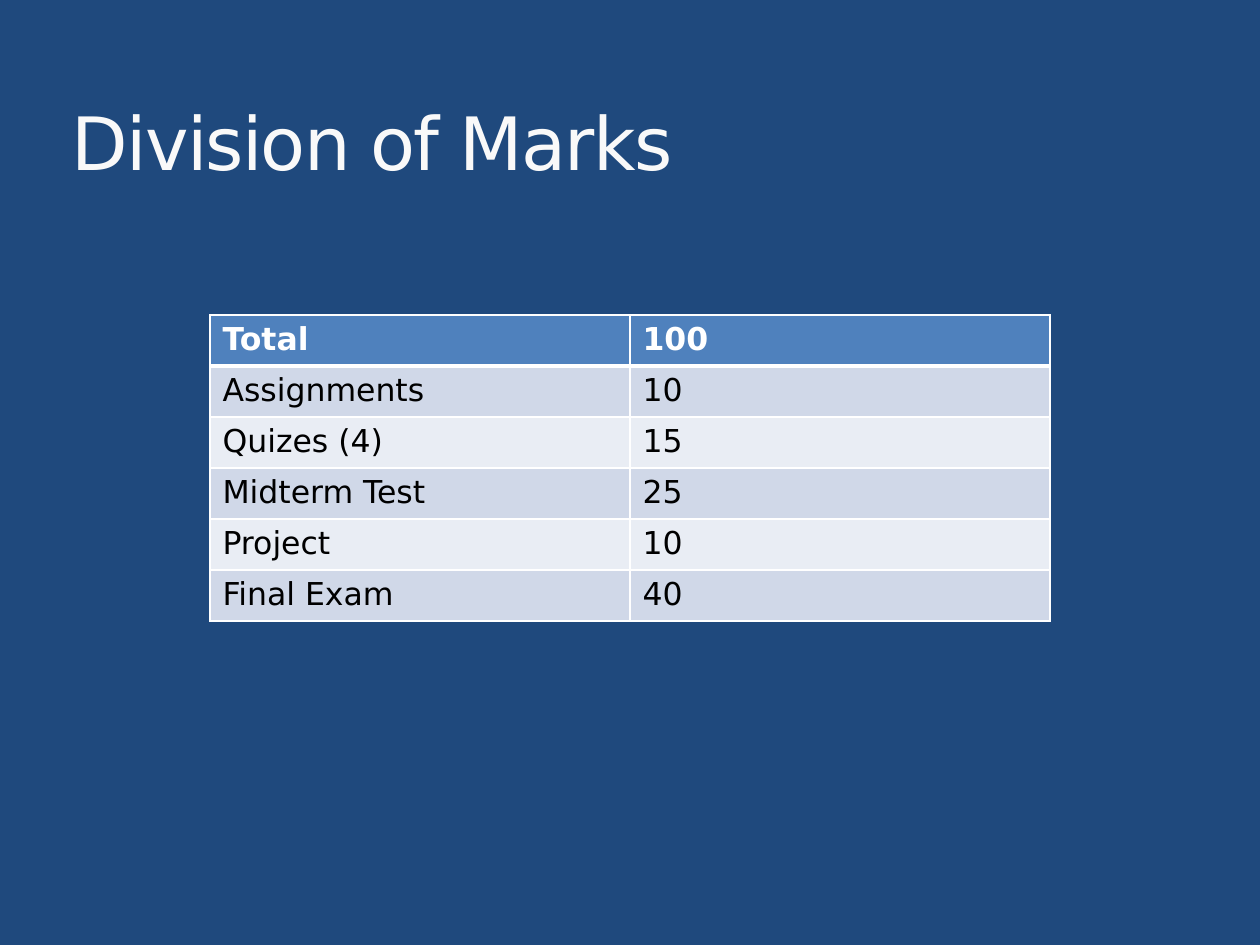
from dataclasses import dataclass

import lxml.etree
import pptx
import pptx.dml.color
import pptx.enum.text
import pptx.oxml
import pptx.oxml.ns
import pptx.util


@dataclass(frozen=True)
class Theme:
    font: str = "DejaVu Sans"
    background: str = "1F497D"
    title: str = "F9F9F9"
    title_outline: str = "1B406E"
    header: str = "4F81BD"
    header_text: str = "FFFFFF"
    bands: tuple = ("D0D8E8", "E9EDF4")
    body_text: str = "000000"
    border: str = "FFFFFF"
    title_size: int = 42
    table_size: int = 18


THEME = Theme()
MARKS = [
    ("Total", "100"),
    ("Assignments", "10"),
    ("Quizes (4)", "15"),
    ("Midterm Test", "25"),
    ("Project", "10"),
    ("Final Exam", "40"),
]


def rgb(value):
    return pptx.dml.color.RGBColor.from_string(value)


def add_run(paragraph, text, size, color, bold=False):
    run = paragraph.add_run()
    run.text = text
    run.font.name = THEME.font
    run.font.size = pptx.util.Pt(size)
    run.font.bold = bold
    run.font.color.rgb = rgb(color)
    return run


def line_element(tag, color, width, alpha=100):
    """Return a solid DrawingML line; width in points, alpha in percent."""
    return pptx.oxml.parse_xml(
        f'<a:{tag} {pptx.oxml.ns.nsdecls("a")} w="{pptx.util.Pt(width)}">'
        f'<a:solidFill><a:srgbClr val="{color}"><a:alpha val="{alpha * 1000}"/>'
        f"</a:srgbClr></a:solidFill></a:{tag}>"
    )


def place_title(slide, box, text):
    title = slide.shapes.title
    title.left, title.top, title.width, title.height = box
    frame = title.text_frame
    frame.word_wrap = True
    frame.auto_size = pptx.enum.text.MSO_AUTO_SIZE.NONE
    frame.vertical_anchor = pptx.enum.text.MSO_ANCHOR.BOTTOM
    frame.margin_left = frame.margin_right = pptx.util.Inches(0.07)
    frame.margin_top = frame.margin_bottom = pptx.util.Inches(0.03)
    paragraph = frame.paragraphs[0]
    paragraph.alignment = pptx.enum.text.PP_ALIGN.LEFT
    run = add_run(paragraph, text, THEME.title_size, THEME.title)
    # Tight letter spacing and a faint outline
    properties = run.font._element
    properties.set("spc", "-100")
    properties.insert(0, line_element("ln", THEME.title_outline, 0.25, alpha=25))


def format_cell(cell, text, is_header, row_above_is_header, fill):
    cell.fill.solid()
    cell.fill.fore_color.rgb = rgb(fill)
    color = THEME.header_text if is_header else THEME.body_text
    add_run(cell.text_frame.paragraphs[0], text, THEME.table_size, color, is_header)
    # Borders come before the fill; the rule below the header is heavier
    widths = {
        "lnL": 1,
        "lnR": 1,
        "lnT": 3 if row_above_is_header else 1,
        "lnB": 3 if is_header else 1,
    }
    properties = cell._tc.get_or_add_tcPr()
    for position, (tag, width) in enumerate(widths.items()):
        properties.insert(position, line_element(tag, THEME.border, width))


def place_marks_table(slide, box, rows):
    table = slide.shapes.add_table(len(rows), len(rows[0]), *box).table
    for row_index, row in enumerate(rows):
        is_header = row_index == 0
        fill = THEME.header if is_header else THEME.bands[(row_index - 1) % 2]
        for column_index, text in enumerate(row):
            cell = table.cell(row_index, column_index)
            format_cell(cell, text, is_header, row_index == 1, fill)


def main():
    presentation = pptx.Presentation()
    presentation.slide_width = pptx.util.Inches(10)
    presentation.slide_height = pptx.util.Inches(7.5)
    width, height = presentation.slide_width, presentation.slide_height

    slide = presentation.slides.add_slide(presentation.slide_layouts[5])
    slide.background.fill.solid()
    slide.background.fill.fore_color.rgb = rgb(THEME.background)

    # Title across the top
    title_top = pptx.util.Inches(0.17)
    title_box = (width // 20, title_top, width * 9 // 10, height // 5 - title_top)
    place_title(slide, title_box, "Division of Marks")

    # Table in the middle two thirds, starting one third down
    table_box = (width // 6, height // 3, width * 2 // 3, pptx.util.Inches(2.43))
    place_marks_table(slide, table_box, MARKS)

    presentation.save("out.pptx")


if __name__ == "__main__":
    main()
